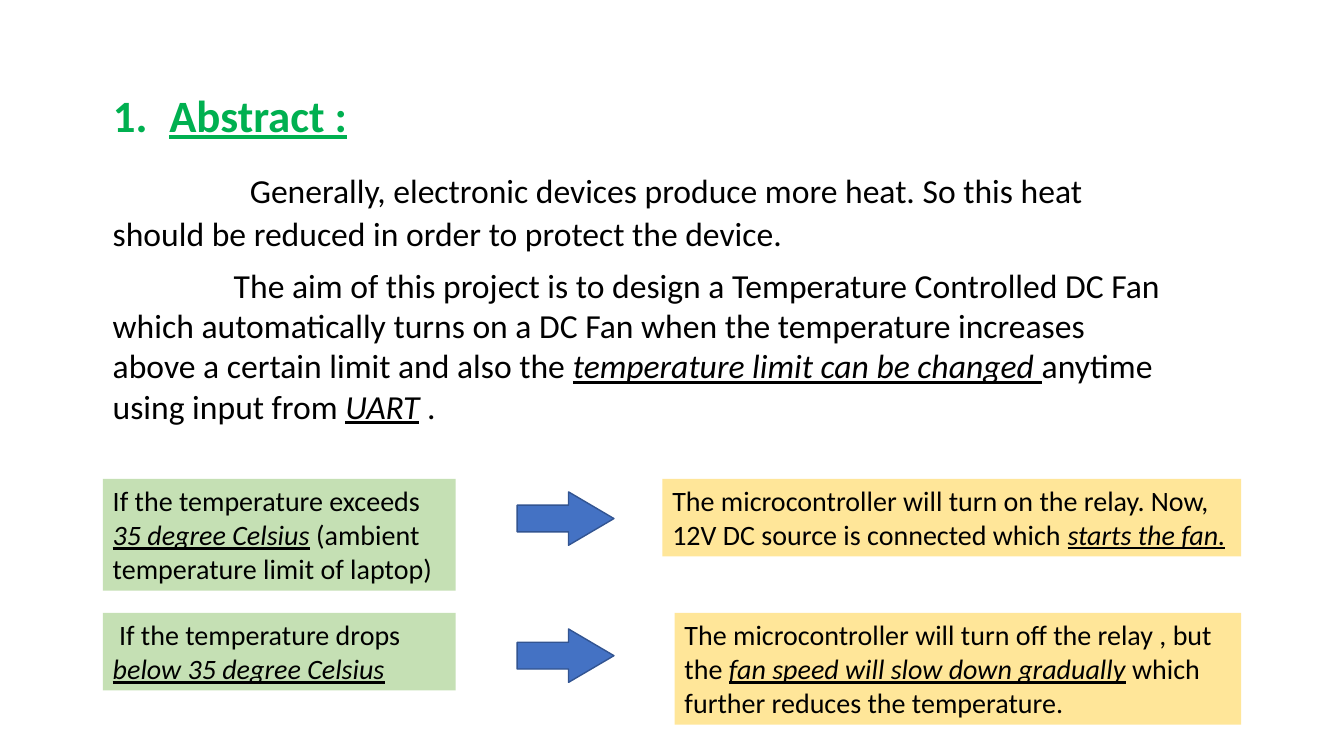
from dataclasses import dataclass

from lxml import etree
from pptx import Presentation
from pptx.dml.color import RGBColor
from pptx.enum.shapes import MSO_SHAPE
from pptx.enum.text import MSO_ANCHOR, PP_ALIGN
from pptx.oxml.ns import qn
from pptx.util import Inches, Pt

RECTANGLE = MSO_SHAPE.RECTANGLE
RIGHT_ARROW = MSO_SHAPE.RIGHT_ARROW
LEFT = PP_ALIGN.LEFT
TOP = MSO_ANCHOR.TOP
MIDDLE = MSO_ANCHOR.MIDDLE


@dataclass(frozen=True)
class Theme:
    font: str = "Calibri"
    heading: RGBColor = RGBColor.from_string("00B050")
    text: RGBColor = RGBColor.from_string("000000")
    condition: RGBColor = RGBColor.from_string("C5E0B4")
    action: RGBColor = RGBColor.from_string("FFE699")
    arrow: RGBColor = RGBColor.from_string("4472C4")
    arrow_line: RGBColor = RGBColor.from_string("325491")
    heading_size: int = 32
    body_size: int = 24
    box_size: int = 20


theme = Theme()


def add_runs(paragraph, parts, size):
    """Add plain and emphasised runs in turn, starting with a plain one."""
    paragraph.alignment = LEFT
    for index, part in enumerate(parts):
        run = paragraph.add_run()
        run.text = part
        run.font.name = theme.font
        run.font.size = Pt(size)
        run.font.color.rgb = theme.text
        if index % 2:
            run.font.italic = True
            run.font.underline = True


def add_filled_shape(kind, left, top, width, height, fill):
    shape = slide.shapes.add_shape(
        kind, Inches(left), Inches(top), Inches(width), Inches(height))
    shape.shadow.inherit = False
    shape.fill.solid()
    shape.fill.fore_color.rgb = fill
    return shape


presentation = Presentation()
presentation.slide_width = Inches(13.33)
presentation.slide_height = Inches(7.5)
slide = presentation.slides.add_slide(presentation.slide_layouts[5])

# Numbered heading
title = slide.shapes.title
title.left, title.top = Inches(1.02), Inches(0.74)
title.width, title.height = Inches(10.64), Inches(0.8)
title.text_frame.vertical_anchor = MIDDLE
paragraph = title.text_frame.paragraphs[0]
paragraph.alignment = LEFT
paragraph.line_spacing = 1.0
run = paragraph.add_run()
run.text = "Abstract :"
run.font.name = theme.font
run.font.size = Pt(theme.heading_size)
run.font.bold = True
run.font.underline = True
run.font.color.rgb = theme.heading
properties = paragraph._p.get_or_add_pPr()
properties.set("marL", str(Inches(0.56)))
properties.set("indent", str(-Inches(0.56)))
etree.SubElement(properties, qn("a:buAutoNum"), type="arabicPeriod")

# Abstract: first-line indent, line spacing, space after, runs
abstract = [
    (1.36, 1.07, 8, [
        "Generally, electronic devices produce more heat. So this heat "
        "should be reduced in order to protect the device."]),
    (1.2, 1.0, 0, [
        "The aim of this project is to design a Temperature Controlled DC Fan "
        "which automatically turns on a DC Fan when the temperature increases "
        "above a certain limit and also the ",
        "temperature limit can be changed ",
        "anytime using input from ", "UART", " ."]),
]
body = slide.shapes.add_textbox(
    Inches(1.02), Inches(1.61), Inches(10.64), Inches(2.68))
frame = body.text_frame
frame.word_wrap = True
frame.vertical_anchor = TOP
for index, (indent, spacing, after, parts) in enumerate(abstract):
    paragraph = frame.add_paragraph() if index else frame.paragraphs[0]
    paragraph.line_spacing = spacing
    paragraph.space_after = Pt(after)
    paragraph._p.get_or_add_pPr().set("indent", str(Inches(indent)))
    add_runs(paragraph, parts, theme.body_size)

# Conditions and actions: left, top, width, height, fill, runs
boxes = [
    (1.02, 4.75, 3.5, 1.11, theme.condition, [
        "If the temperature exceeds ", "35 degree Celsius",
        " (ambient temperature limit of laptop)"]),
    (6.57, 4.75, 5.74, 0.77, theme.action, [
        "The microcontroller will turn on the relay. Now, "
        "12V DC source is connected which ", "starts the fan."]),
    (1.02, 6.08, 3.5, 0.77, theme.condition, [
        " If the temperature drops ", "below 35 degree Celsius"]),
    (6.69, 6.08, 5.62, 1.11, theme.action, [
        "The microcontroller will turn off the relay , but the ",
        "fan speed will slow down gradually",
        " which further reduces the temperature."]),
]
for left, top, width, height, fill, parts in boxes:
    box = add_filled_shape(RECTANGLE, left, top, width, height, fill)
    box.line.fill.background()
    box.text_frame.word_wrap = True
    box.text_frame.vertical_anchor = TOP
    add_runs(box.text_frame.paragraphs[0], parts, theme.box_size)

# Arrows from condition to action
for top in (4.88, 6.24):
    arrow = add_filled_shape(RIGHT_ARROW, 5.13, top, 0.96, 0.53, theme.arrow)
    arrow.adjustments[0] = 0.5
    arrow.adjustments[1] = 0.85
    arrow.line.color.rgb = theme.arrow_line
    arrow.line.width = Pt(1)

presentation.save("out.pptx")
